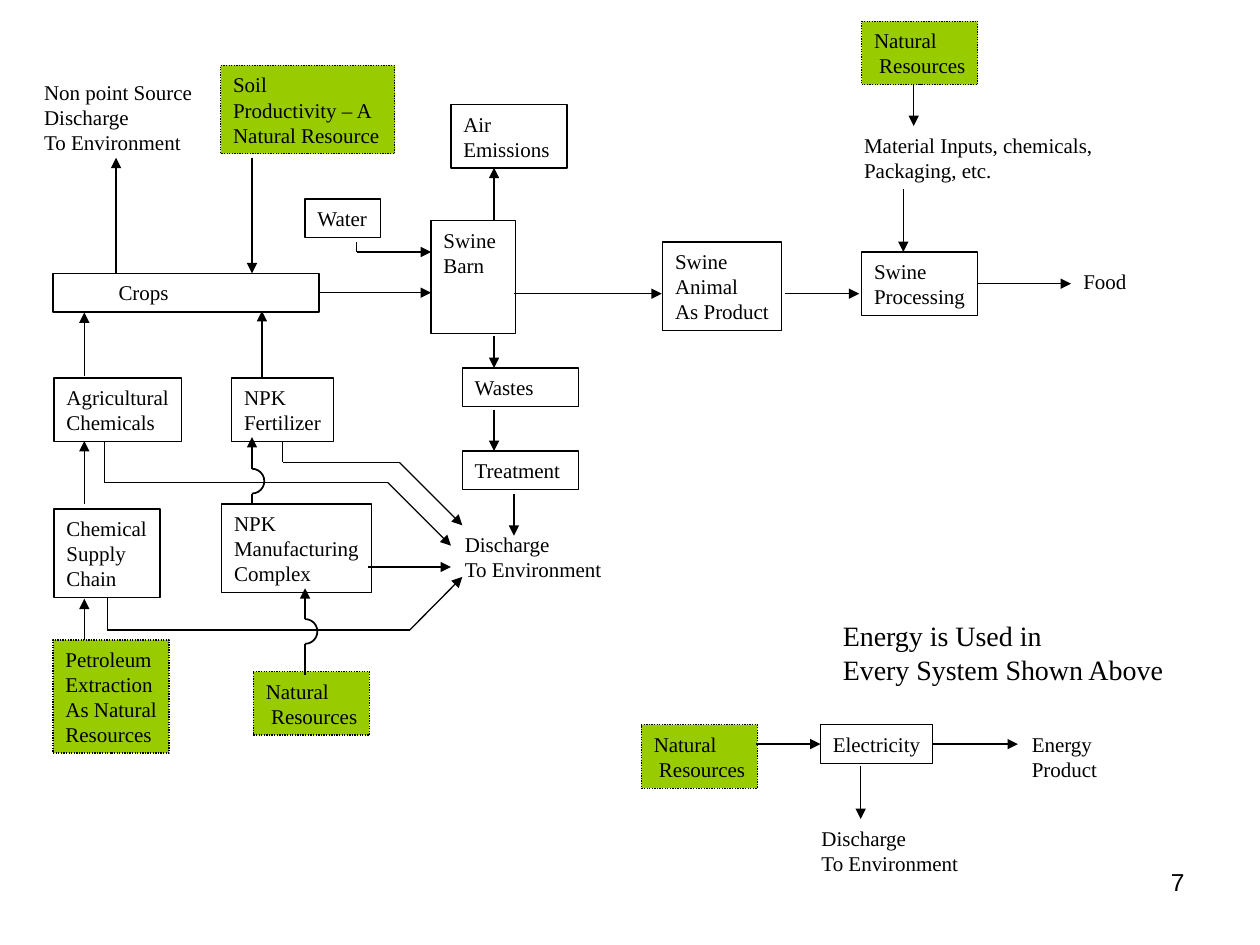
import dataclasses
import typing

import pptx
import pptx.dml.color
import pptx.enum.dml
import pptx.enum.shapes
import pptx.enum.text
import pptx.oxml
import pptx.util

Cm, Pt = pptx.util.Cm, pptx.util.Pt
Shape = pptx.enum.shapes.MSO_SHAPE
Align = pptx.enum.text.PP_ALIGN
Point = tuple[float, float]

INK = "000000"
GREEN = "99CC00"
STOCK = "Natural\n Resources"
SINK = "Discharge\nTo Environment"
NS = 'xmlns:a="http://schemas.openxmlformats.org/drawingml/2006/main"'
TOP, LEFT, BOTTOM, RIGHT = range(4)
# No right margin, so that the longest row of a tight box stays whole
FRAME = {
    "margin_left": Cm(0.25), "margin_right": Cm(0),
    "margin_top": Cm(0.13), "margin_bottom": Cm(0.13),
    "vertical_anchor": pptx.enum.text.MSO_ANCHOR.TOP,
    "auto_size": pptx.enum.text.MSO_AUTO_SIZE.NONE, "word_wrap": True,
}
FONT = {"name": "Times New Roman", "size": Pt(12)}


@dataclasses.dataclass
class Box:
    """A block of text; its height follows from its rows."""
    text: str
    x: float
    y: float
    wide: float
    kind: str = "box"  # box, green or plain
    rows: int = 0
    frame: dict = dataclasses.field(default_factory=dict)
    font: dict = dataclasses.field(default_factory=dict)
    align: typing.Any = Align.LEFT


@dataclasses.dataclass
class Route:
    """A chain of straight lines with an arrowhead at its end."""
    points: list[Point]
    start: tuple[str, int] | None = None
    stop: tuple[str, int] | None = None


class Hop(typing.NamedTuple):
    """An upward arrow that jumps over a line."""
    x: float
    foot: float
    mid: float
    tip: float


BOXES = {
    # Farm and its inputs
    "runoff": Box("Non point Source\nDischarge\nTo Environment", 0.64, 1.47, 3.48, "plain"),
    "soil": Box("Soil\nProductivity – A\nNatural Resource", 4.45, 1.32, 3.51, "green"),
    "crops": Box("Crops", 1.07, 5.51, 5.36, frame={"margin_left": Cm(1.32)}),
    "agri": Box("Agricultural\nChemicals", 1.09, 7.62, 2.57),
    "npk": Box("NPK\nFertilizer", 4.67, 7.62, 2.06),
    "supply": Box("Chemical\nSupply\nChain", 1.09, 10.26, 2.14),
    "plant": Box("NPK\nManufacturing\nComplex", 4.47, 10.16, 3.02),
    "petrol": Box("Petroleum\nExtraction\nAs Natural\nResources", 1.07, 12.9, 2.34, "green"),
    "ore": Box(STOCK, 5.11, 13.54, 2.34, "green"),
    # Barn and its wastes
    "water": Box("Water", 6.15, 4.01, 1.52),
    "air": Box("Air\nEmissions", 9.09, 2.11, 2.34),
    "barn": Box("Swine\nBarn", 8.69, 4.45, 1.7, rows=4),
    "wastes": Box("Wastes", 9.32, 7.42, 2.34),
    "treat": Box("Treatment", 9.32, 9.09, 2.34),
    "sink": Box(SINK, 9.12, 10.59, 3.28, "plain"),
    # Product
    "swine": Box("Swine\nAnimal\nAs Product", 13.36, 4.88, 2.39),
    "process": Box("Swine\nProcessing", 17.37, 5.08, 2.34),
    "goods": Box("Material Inputs, chemicals,\nPackaging, etc.", 17.17, 2.54, 5.11, "plain"),
    "stock": Box(STOCK, 17.37, 0.43, 2.34, "green"),
    "food": Box("Food", 21.59, 5.28, 1.37, "plain"),
    # Energy
    "note": Box("Energy is Used in\nEvery System Shown Above", 16.74, 12.34, 6.99, "plain",
                rows=4, font={"size": Pt(16)}),
    "fuel": Box(STOCK, 12.93, 14.61, 2.34, "green"),
    "power": Box("Electricity", 16.54, 14.61, 2.26),
    "output": Box("Energy\nProduct", 20.55, 14.61, 1.83, "plain"),
    "loss": Box(SINK, 16.31, 16.51, 3.28, "plain"),
    "page": Box("7", 18.21, 17.35, 5.92, "plain", rows=2, align=Align.RIGHT,
                frame={"margin_right": Cm(0.25)}, font={"name": "Arial", "size": Pt(14)}),
}

ROUTES = [
    # Discharges
    Route([(2.11, 8.89), (2.11, 9.73), (7.82, 9.73), (9.09, 11)]),
    Route([(5.7, 8.9), (5.7, 9.32), (8.05, 9.32), (9.32, 10.59)], start=("npk", BOTTOM)),
    Route([(2.16, 12.04), (2.16, 12.7), (8.26, 12.7), (9.32, 11.63)], start=("supply", BOTTOM)),
    Route([(7.42, 11.43), (9.09, 11.43)]),
    Route([(10.36, 9.96), (10.36, 10.8)]),
    # Crops
    Route([(1.7, 12.9), (1.7, 12.07)]),
    Route([(1.7, 10.16), (1.7, 8.89)]),
    Route([(1.7, 7.57), (1.7, 6.3)]),
    Route([(5.28, 7.62), (5.28, 6.27)]),
    Route([(5.08, 3.18), (5.08, 5.51)]),
    Route([(2.34, 5.51), (2.34, 3.18)]),
    # Barn
    Route([(7.19, 4.88), (7.19, 5.08), (8.69, 5.08)]),
    Route([(6.43, 5.9), (8.69, 5.9)], start=("crops", RIGHT)),
    Route([(9.96, 4.45), (9.96, 3.38)]),
    Route([(9.96, 6.78), (9.96, 7.42)]),
    Route([(9.96, 8.26), (9.96, 9.09)]),
    # Product
    Route([(10.36, 5.92), (13.34, 5.92)]),
    Route([(15.82, 5.92), (17.32, 5.92)]),
    Route([(19.71, 5.72), (21.59, 5.72)], start=("process", RIGHT)),
    Route([(18.42, 1.7), (18.42, 2.54)]),
    Route([(18.21, 3.81), (18.21, 5.08)]),
    # Energy
    Route([(15.24, 15), (16.54, 15)], stop=("power", LEFT)),
    Route([(18.8, 15), (20.52, 15)], start=("power", RIGHT)),
    Route([(17.35, 15.44), (17.35, 16.51)]),
]

HOPS = [Hop(5.08, 10.16, 9.7, 8.81), Hop(6.15, 13.61, 12.73, 11.86)]


def tint(fmt: typing.Any, code: str) -> None:
    fmt.rgb = pptx.dml.color.RGBColor.from_string(code)


def apply(target: typing.Any, values: dict) -> None:
    for name, value in values.items():
        setattr(target, name, value)


def stroke(line: typing.Any, width: float) -> None:
    line.width = Pt(width)
    tint(line.color, INK)


def draw_box(slide: typing.Any, box: Box) -> typing.Any:
    lines = box.text.split("\n")
    tall = 0.28 + 0.5 * (box.rows or len(lines))
    place = [Cm(v) for v in (box.x, box.y, box.wide, tall)]
    if box.kind == "plain":
        shape = slide.shapes.add_textbox(*place)
    else:
        shape = slide.shapes.add_shape(Shape.RECTANGLE, *place)
        shape.shadow.inherit = False
        stroke(shape.line, 0.75)
        if box.kind == "green":
            shape.fill.solid()
            tint(shape.fill.fore_color, GREEN)
            shape.line.dash_style = pptx.enum.dml.MSO_LINE.ROUND_DOT
        else:
            shape.fill.background()
    frame = shape.text_frame
    apply(frame, FRAME | box.frame)
    for i, words in enumerate(lines):
        para = frame.add_paragraph() if i else frame.paragraphs[0]
        para.alignment = box.align
        run = para.add_run()
        run.text = words
        apply(run.font, FONT | box.font)
        tint(run.font.color, INK)
    return shape


def draw_line(slide: typing.Any, a: Point, b: Point, arrow: bool) -> typing.Any:
    line = slide.shapes.add_connector(
        pptx.enum.shapes.MSO_CONNECTOR.STRAIGHT, *(Cm(v) for v in a + b))
    stroke(line.line, 0.75)
    if arrow:
        line.line._get_or_add_ln().append(
            pptx.oxml.parse_xml(f'<a:tailEnd {NS} type="triangle"/>'))
    line._element.spPr.append(pptx.oxml.parse_xml(f"<a:effectLst {NS}/>"))
    return line


def draw_route(slide: typing.Any, route: Route, shapes: dict) -> None:
    pairs = list(zip(route.points, route.points[1:]))
    parts = [draw_line(slide, a, b, i == len(pairs)) for i, (a, b) in enumerate(pairs, 1)]
    if route.start:
        name, side = route.start
        parts[0].begin_connect(shapes[name], side)
    if route.stop:
        name, side = route.stop
        parts[-1].end_connect(shapes[name], side)


def draw_hop(slide: typing.Any, hop: Hop) -> None:
    r = 0.25
    draw_line(slide, (hop.x, hop.foot), (hop.x, hop.mid + r), False)
    draw_line(slide, (hop.x, hop.mid - r), (hop.x, hop.tip), True)
    arc = slide.shapes.add_shape(
        Shape.ARC, Cm(hop.x - r), Cm(hop.mid - r), Cm(2 * r), Cm(2 * r))
    arc.adjustments[0], arc.adjustments[1] = 162, 54  # from the top to the foot
    arc.shadow.inherit = False
    arc.fill.background()
    stroke(arc.line, 1)


def main() -> None:
    deck = pptx.Presentation()
    deck.slide_width, deck.slide_height = Cm(25.4), Cm(19.05)
    slide = deck.slides.add_slide(deck.slide_layouts[6])
    shapes = {name: draw_box(slide, box) for name, box in BOXES.items()}
    for route in ROUTES:
        draw_route(slide, route, shapes)
    for hop in HOPS:
        draw_hop(slide, hop)
    deck.save("out.pptx")


if __name__ == "__main__":
    main()
